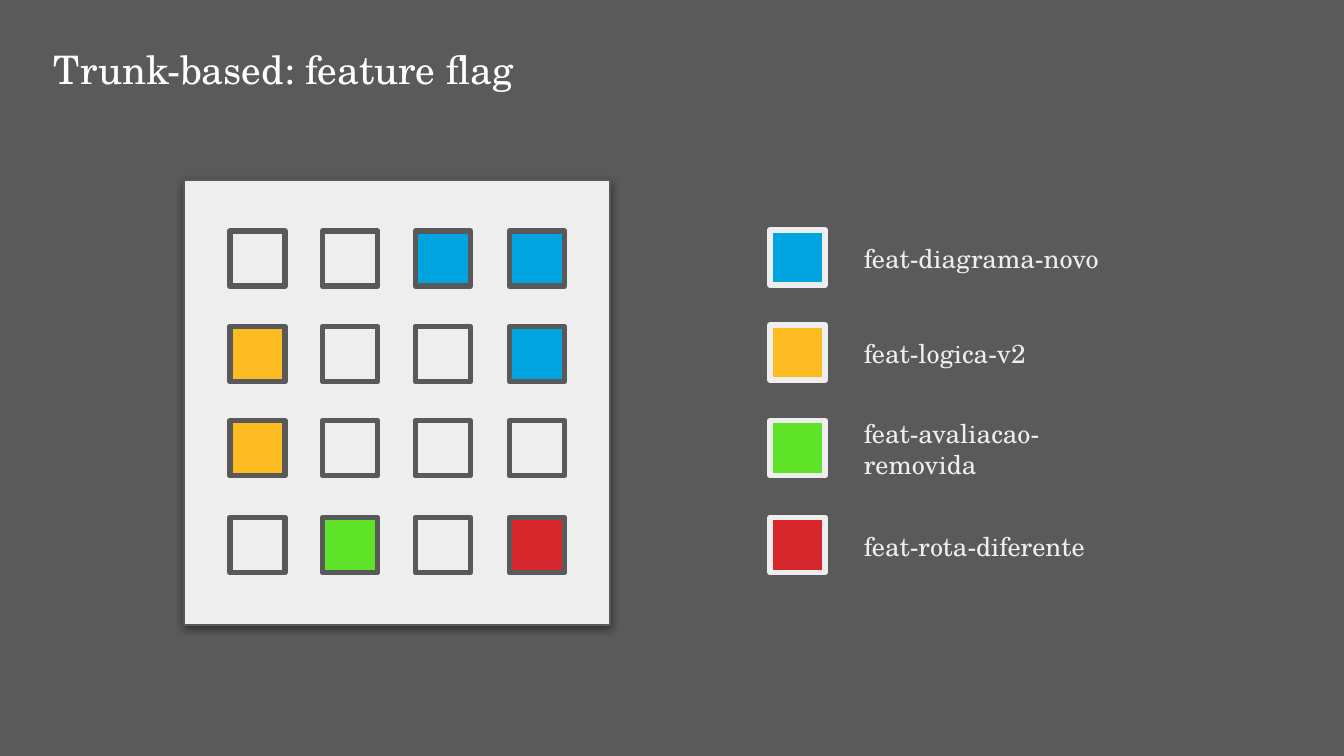
import pptx
import pptx.dml.color
import pptx.enum.shapes
import pptx.enum.text
import pptx.oxml
import pptx.oxml.ns
import pptx.util
from dataclasses import dataclass

Inches = pptx.util.Inches
Pt = pptx.util.Pt


@dataclass(frozen=True)
class Theme:
    font: str = "TeX Gyre Schola"
    title_size: int = 21
    label_size: int = 14
    background: str = "5A5A5A"
    border: str = "595959"
    light: str = "EEEEEE"
    white: str = "FFFFFF"
    blue: str = "00A5DF"
    yellow: str = "FBBB21"
    green: str = "5EE329"
    red: str = "D6272C"


def rgb(value):
    return pptx.dml.color.RGBColor.from_string(value)


class SlideBuilder:
    def __init__(self, s, theme):
        self.s = s
        self.theme = theme
        s.background.fill.solid()
        s.background.fill.fore_color.rgb = rgb(theme.background)

    def text(self, text, x, y, w, h, size, color, middle=False):
        tf = self.s.shapes.add_textbox(Inches(x), Inches(y), Inches(w), Inches(h)).text_frame
        tf.word_wrap = True
        tf.margin_left = tf.margin_right = tf.margin_top = tf.margin_bottom = Inches(0.1)
        if middle:
            tf.vertical_anchor = pptx.enum.text.MSO_ANCHOR.MIDDLE
        tf.text = text
        font = tf.paragraphs[0].runs[0].font
        font.name = self.theme.font
        font.size = Pt(size)
        font.color.rgb = rgb(color)

    def box(self, x, y, w, h, fill, line, line_width):
        sp = self.s.shapes.add_shape(
            pptx.enum.shapes.MSO_SHAPE.RECTANGLE, Inches(x), Inches(y), Inches(w), Inches(h))
        sp.shadow.inherit = False
        sp.fill.solid()
        sp.fill.fore_color.rgb = rgb(fill)
        sp.line.color.rgb = rgb(line)
        sp.line.width = Pt(line_width)
        return sp

    def square(self, x, y, fill, line):
        self.box(x, y, 0.41, 0.41, fill, line, 3)

    def panel(self, x, y, w, h):
        sp = self.box(x, y, w, h, self.theme.light, self.theme.border, 0.75)
        effects = sp._element.spPr.find(pptx.oxml.ns.qn("a:effectLst"))
        effects.append(pptx.oxml.parse_xml(
            f'<a:outerShdw {pptx.oxml.ns.nsdecls("a")} blurRad="{Pt(4.5)}" dist="{Pt(1.5)}"'
            ' dir="5400000" algn="bl" rotWithShape="0">'
            '<a:srgbClr val="000000"><a:alpha val="50000"/></a:srgbClr></a:outerShdw>'))


def main():
    prs = pptx.Presentation()
    prs.slide_width = Inches(10)
    prs.slide_height = prs.slide_width * 9 // 16
    theme = Theme()
    slide = SlideBuilder(prs.slides.add_slide(prs.slide_layouts[6]), theme)

    # Title
    slide.text("Trunk-based: feature flag", 0.3, 0.24, 5.74, 0.56, theme.title_size, theme.white)

    # Code base: each letter is the flag that covers a module, a dot is none
    slide.panel(1.37, 1.34, 3.17, 3.31)
    colors = {".": theme.light, "B": theme.blue, "Y": theme.yellow,
              "G": theme.green, "R": theme.red}
    columns = (1.71, 2.4, 3.09, 3.79)
    rows = (1.72, 2.43, 3.13, 3.85)
    for y, flags in zip(rows, ("..BB", "Y..B", "Y...", ".G.R")):
        for x, flag in zip(columns, flags):
            slide.square(x, y, colors[flag], theme.border)

    # Legend of feature flags
    legend = ((1.71, "B", "feat-diagrama-novo"), (2.42, "Y", "feat-logica-v2"),
              (3.13, "G", "feat-avaliacao-removida"), (3.85, "R", "feat-rota-diferente"))
    for y, flag, label in legend:
        slide.square(5.73, y, colors[flag], theme.light)
        slide.text(label, 6.33, y - 0.01, 2.3, 0.44, theme.label_size, theme.light, middle=True)

    prs.save("out.pptx")


if __name__ == "__main__":
    main()
